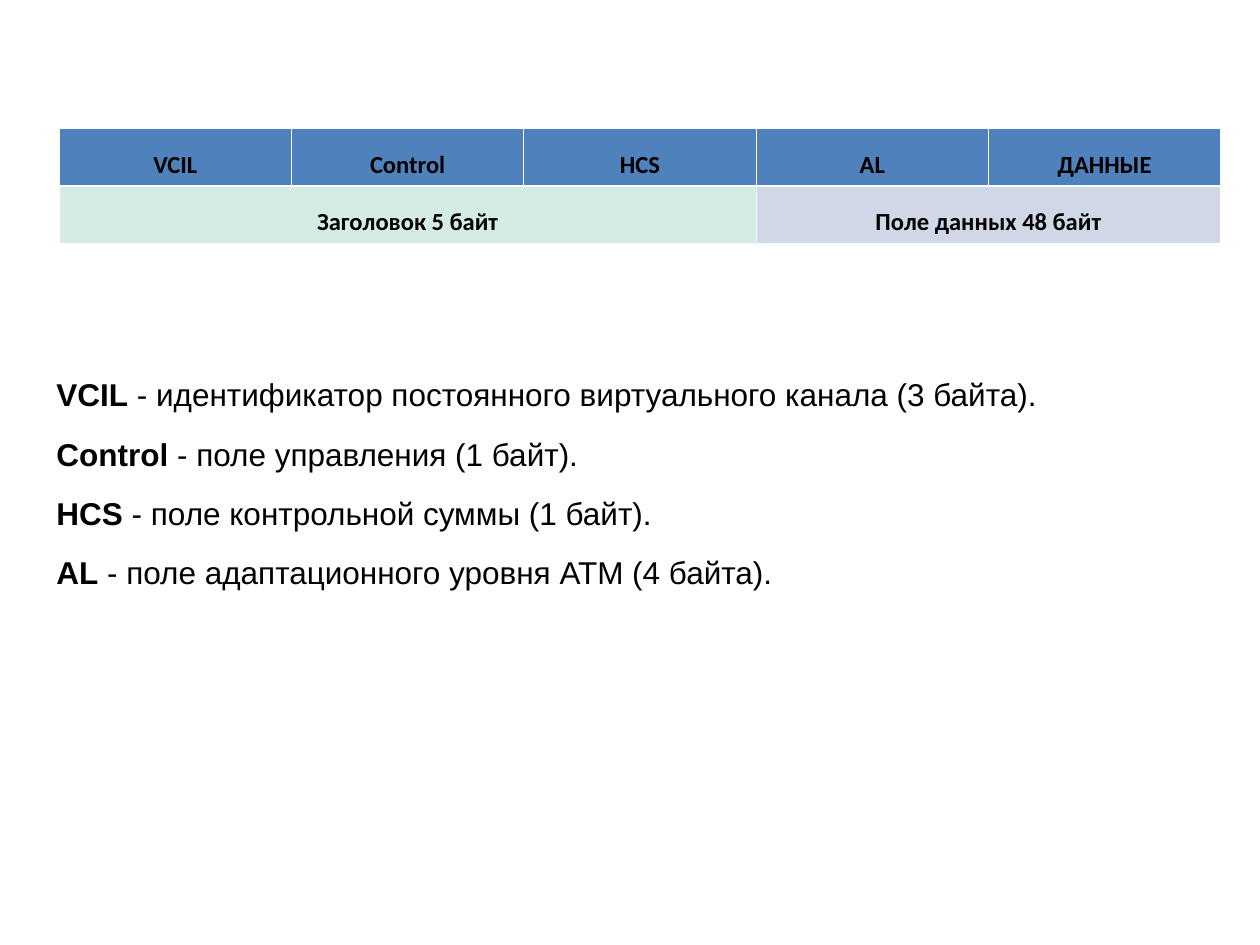
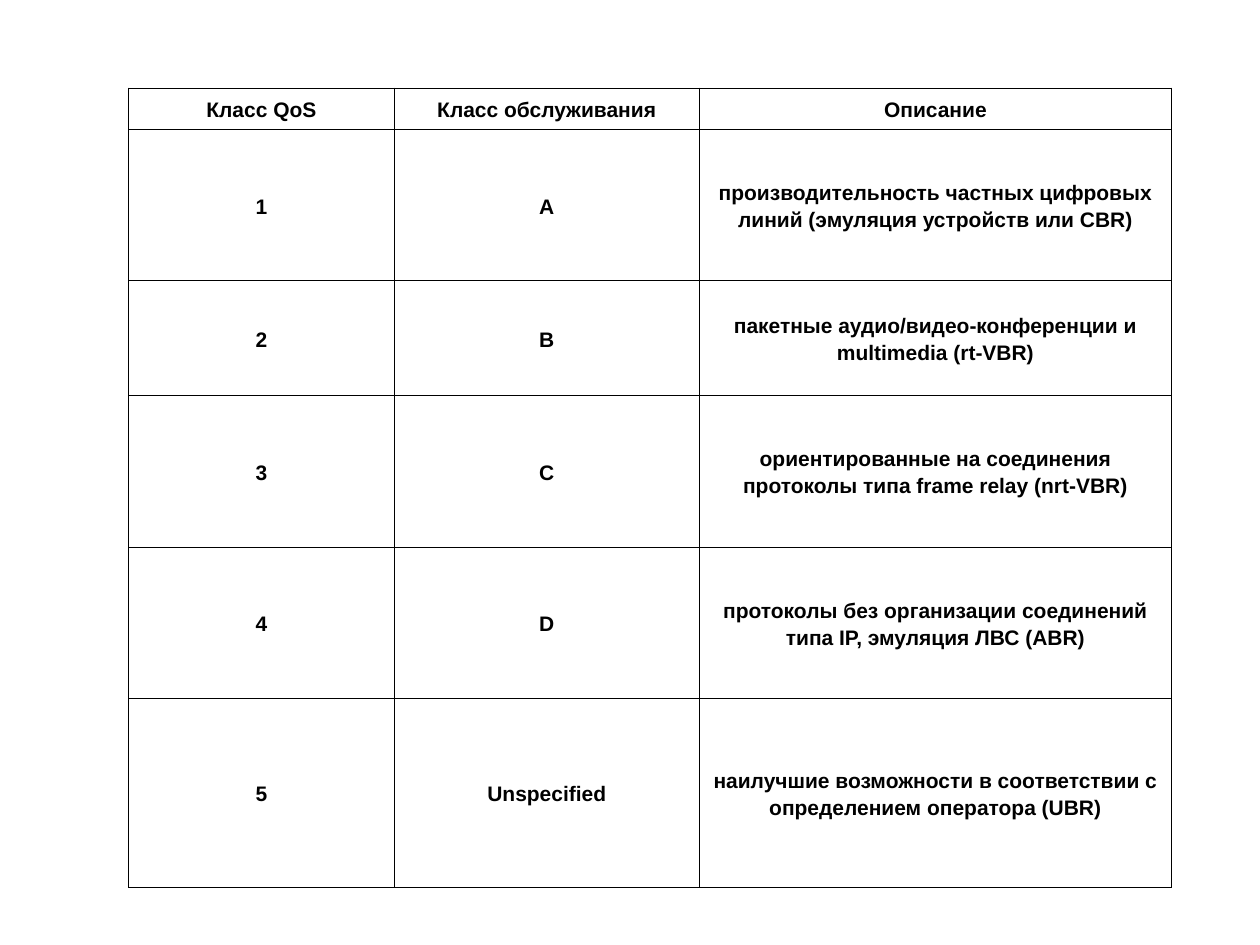
import pptx
import pptx.dml.color
import pptx.enum.text
import pptx.oxml.ns
import pptx.util
from lxml import etree

HUES = {
    "ink": "000000",
    "paper": "FFFFFF",
    "blue": "4F81BD",
    "mint": "D5ECE4",
    "haze": "D0D8E8",
}
WIDE = pptx.util.Inches(10)
HIGH = pptx.util.Inches(7.5)
HAIR = 0.45
THICK = 1.47

FIELDS = ["VCIL", "Control", "HCS", "AL", "ДАННЫЕ"]
# first column, last column, label, colour
GROUPS = [
    (0, 2, "Заголовок 5 байт", "mint"),
    (3, 4, "Поле данных 48 байт", "haze"),
]
TERMS = [
    ("VCIL", "идентификатор постоянного виртуального канала (3 байта)."),
    ("Control", "поле управления (1 байт)."),
    ("HCS", "поле контрольной суммы (1 байт)."),
    ("AL", "поле адаптационного уровня АТМ (4 байта)."),
]
CLASSES = [
    ("Класс QoS", "Класс обслуживания", "Описание"),
    ("1", "A", "производительность частных цифровых линий (эмуляция устройств или CBR)"),
    ("2", "B", "пакетные аудио/видео-конференции и multimedia (rt-VBR)"),
    ("3", "C", "ориентированные на соединения протоколы типа frame relay (nrt-VBR)"),
    ("4", "D", "протоколы без организации соединений типа IP, эмуляция ЛВС (ABR)"),
    ("5", "Unspecified", "наилучшие возможности в соответствии с определением оператора (UBR)"),
]


def color(key):
    return pptx.dml.color.RGBColor.from_string(HUES[key])


def place(x, y, w, h):
    """Turn shares of the slide into lengths."""
    return int(x * WIDE), int(y * HIGH), int(w * WIDE), int(h * HIGH)


def style(para, face, size, gap, bold=None):
    para.line_spacing = gap
    para.font.name = face
    para.font.size = pptx.util.Pt(size)
    para.font.bold = bold
    para.font.color.rgb = color("ink")


def edge(cell, key, widths):
    """Draw the left, right, top and bottom borders of a cell."""
    props = cell._tc.get_or_add_tcPr()
    for side, width in zip("LRTB", widths):
        line = etree.SubElement(props, pptx.oxml.ns.qn(f"a:ln{side}"),
                                w=str(int(pptx.util.Pt(width))))
        fill = etree.SubElement(line, pptx.oxml.ns.qn("a:solidFill"))
        etree.SubElement(fill, pptx.oxml.ns.qn("a:srgbClr"), val=HUES[key])


def grid(slide, box, cols, rows):
    """Add a plain table whose columns and rows split the box by weight."""
    left, top, width, height = box
    table = slide.shapes.add_table(len(rows), len(cols), *box).table
    table.first_row = table.horz_banding = False
    for col, part in zip(table.columns, cols):
        col.width = int(width * part / sum(cols))
    for row, part in zip(table.rows, rows):
        row.height = int(height * part / sum(rows))
    return table


def dress(cell, face, size, gap, pad):
    """Set the padding and centred bold text of a cell."""
    cell.margin_left = cell.margin_right = pptx.util.Inches(pad)
    para = cell.text_frame.paragraphs[0]
    para.alignment = pptx.enum.text.PP_ALIGN.CENTER
    style(para, face, size, gap, True)


def frame(slide, box):
    """Cell layout: fields above, groups below."""
    table = grid(slide, box, [1] * len(FIELDS), [1, 1])
    for col, name in enumerate(FIELDS):
        table.cell(0, col).text = name
    for first, last, label, key in GROUPS:
        table.cell(1, first).merge(table.cell(1, last))
        table.cell(1, first).text = label
    for cell in table.iter_cells():
        dress(cell, "Calibri", 14, 1.5, 0.04)
    for col in range(len(FIELDS)):
        head, foot = table.cell(0, col), table.cell(1, col)
        edge(head, "paper", (HAIR, HAIR, HAIR, THICK))
        edge(foot, "paper", (HAIR, HAIR, THICK, HAIR))
        head.fill.solid()
        head.fill.fore_color.rgb = color("blue")
    for first, last, label, key in GROUPS:
        for col in range(first, last + 1):
            fill = table.cell(1, col).fill
            fill.solid()
            fill.fore_color.rgb = color(key)


def legend(slide, box):
    """Terms in bold, each with its meaning."""
    text = slide.shapes.add_textbox(*box).text_frame
    text.word_wrap = True
    for rank, (term, note) in enumerate(TERMS):
        para = text.add_paragraph() if rank else text.paragraphs[0]
        style(para, "Arial", 18, 1.57)
        para.add_run().text = term
        para.runs[0].font.bold = True
        para.add_run().text = f" - {note}"


def classes(slide, box):
    """Ruled table of service classes."""
    table = grid(slide, box, [2.11, 2.42, 3.75], [0.33, 1.2, 0.91, 1.2, 1.2, 1.5])
    for row, words in enumerate(CLASSES):
        for col, word in enumerate(words):
            cell = table.cell(row, col)
            cell.text = word
            cell.vertical_anchor = pptx.enum.text.MSO_ANCHOR.MIDDLE
            dress(cell, "Arial", 12, 1.15, 0.01)
            edge(cell, "ink", [HAIR] * 4)
            cell.fill.background()


def main():
    deck = pptx.Presentation()
    deck.slide_width, deck.slide_height = WIDE, HIGH
    blank = deck.slide_layouts[6]

    # Cell format
    slide = deck.slides.add_slide(blank)
    frame(slide, place(0.047, 0.136, 0.922, 0.12))
    legend(slide, place(0.035, 0.368, 0.926, 0.253))

    # Service classes
    slide = deck.slides.add_slide(blank)
    classes(slide, place(0.102, 0.093, 0.828, 0.846))

    deck.save("out.pptx")


if __name__ == "__main__":
    main()
